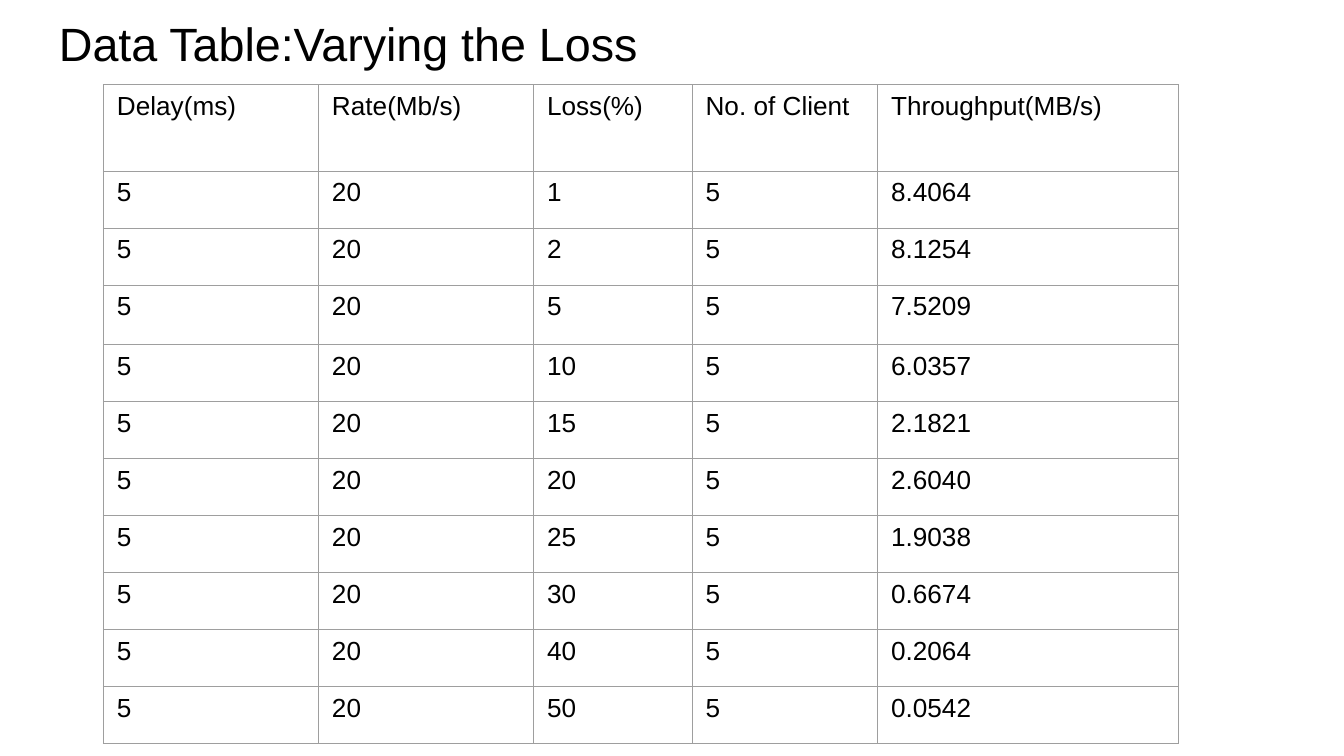
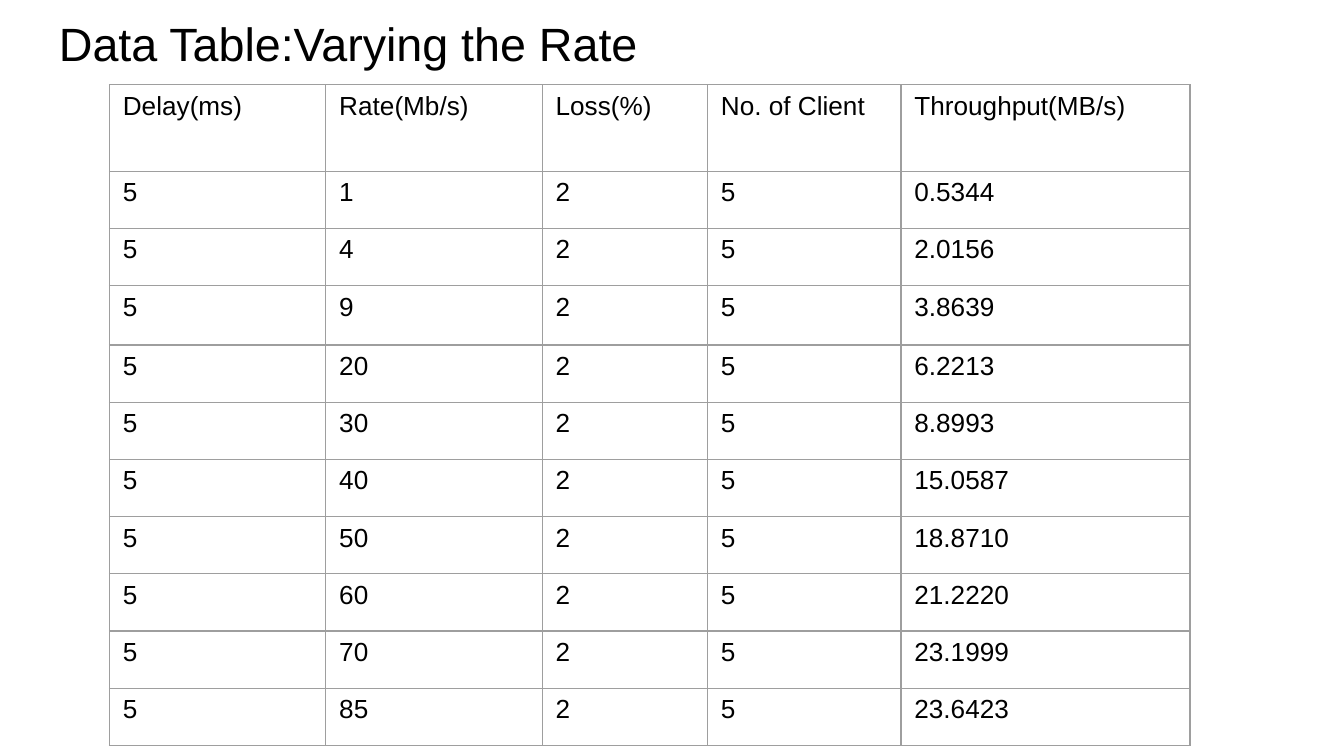
from dataclasses import dataclass

from lxml import etree
from pptx import Presentation
from pptx.dml.color import RGBColor
from pptx.enum.text import MSO_ANCHOR, PP_ALIGN
from pptx.oxml.ns import qn
from pptx.util import Inches, Pt

BOTTOM = MSO_ANCHOR.BOTTOM
TOP = MSO_ANCHOR.TOP
LEFT = PP_ALIGN.LEFT


@dataclass(frozen=True)
class Theme:
    font: str = "Arial"
    background: str = "FFFFFF"
    text: str = "000000"
    border: str = "9E9E9E"
    title_size: float = 25
    cell_size: float = 14
    border_width: float = 0.75
    padding: float = 0.1
    cell_padding: float = 0.05


class Deck:
    def __init__(self, theme):
        self.theme = theme
        self.presentation = Presentation()
        self.presentation.slide_width = Inches(10)
        self.presentation.slide_height = Inches(5.625)
        self.slide = None

    def across(self, percent):
        return round(self.presentation.slide_width * percent / 100)

    def down(self, percent):
        return round(self.presentation.slide_height * percent / 100)

    def add_slide(self):
        self.slide = self.presentation.slides.add_slide(self.presentation.slide_layouts[6])
        fill = self.slide.background.fill
        fill.solid()
        fill.fore_color.rgb = RGBColor.from_string(self.theme.background)

    def set_text(self, text_frame, text, size):
        text_frame.text = text
        for paragraph in text_frame.paragraphs:
            paragraph.alignment = LEFT
            for run in paragraph.runs:
                run.font.name = self.theme.font
                run.font.size = Pt(size)
                run.font.color.rgb = RGBColor.from_string(self.theme.text)

    def add_title(self, text):
        box = self.slide.shapes.add_textbox(
            self.across(3.4), 0, self.across(93.2), self.down(11.2))
        text_frame = box.text_frame
        text_frame.word_wrap = True
        text_frame.vertical_anchor = BOTTOM
        padding = Inches(self.theme.padding)
        text_frame.margin_left = text_frame.margin_right = padding
        text_frame.margin_top = text_frame.margin_bottom = padding
        self.set_text(text_frame, text, self.theme.title_size)

    def add_borders(self, cell):
        properties = cell._tc.get_or_add_tcPr()
        for position, side in enumerate(("lnL", "lnR", "lnT", "lnB")):
            line = etree.Element(qn(f"a:{side}"), w=str(Pt(self.theme.border_width)))
            fill = etree.SubElement(line, qn("a:solidFill"))
            etree.SubElement(fill, qn("a:srgbClr"), val=self.theme.border)
            properties.insert(position, line)

    def add_table(self, left, column_widths, row_heights, records):
        frame = self.slide.shapes.add_table(
            len(records), len(column_widths), self.across(left), self.down(11.2),
            self.across(sum(column_widths)), self.down(sum(row_heights)))
        table = frame.table
        table.first_row = False
        table.horz_banding = False
        for column, width in zip(table.columns, column_widths):
            column.width = self.across(width)
        for row, height, record in zip(table.rows, row_heights, records):
            row.height = self.down(height)
            for cell, value in zip(row.cells, record):
                self.add_cell(cell, value)

    def add_cell(self, cell, value):
        cell.margin_left = cell.margin_right = Inches(self.theme.padding)
        cell.margin_top = cell.margin_bottom = Inches(self.theme.cell_padding)
        cell.vertical_anchor = TOP
        cell.fill.background()
        self.set_text(cell.text_frame, value, self.theme.cell_size)
        self.add_borders(cell)


HEADERS = ("Delay(ms)", "Rate(Mb/s)", "Loss(%)", "No. of Client", "Throughput(MB/s)")
DELAY = CLIENTS = "5"
FIXED_RATE = "20"
FIXED_LOSS = "2"

THROUGHPUT_BY_LOSS = {
    "1": "8.4064", "2": "8.1254", "5": "7.5209", "10": "6.0357", "15": "2.1821",
    "20": "2.6040", "25": "1.9038", "30": "0.6674", "40": "0.2064", "50": "0.0542",
}
THROUGHPUT_BY_RATE = {
    "1": "0.5344", "4": "2.0156", "9": "3.8639", "20": "6.2213", "30": "8.8993",
    "40": "15.0587", "50": "18.8710", "60": "21.2220", "70": "23.1999", "85": "23.6423",
}


def row_heights(body_height):
    return [11.45, body_height, body_height, 7.87] + [body_height] * 7


def main():
    deck = Deck(Theme())
    loss_records = [(DELAY, FIXED_RATE, loss, CLIENTS, throughput)
                    for loss, throughput in THROUGHPUT_BY_LOSS.items()]
    rate_records = [(DELAY, rate, FIXED_LOSS, CLIENTS, throughput)
                    for rate, throughput in THROUGHPUT_BY_RATE.items()]
    tables = (
        ("Loss", 7.7, (16, 16, 11.8, 13.8, 22.4), 7.54, loss_records),
        ("Rate", 8.14, (16.1, 16.1, 12.3, 14.4, 21.5), 7.57, rate_records),
    )
    for variable, left, column_widths, body_height, records in tables:
        deck.add_slide()
        deck.add_title(f"Data Table:Varying the {variable}")
        deck.add_table(left, column_widths, row_heights(body_height), [HEADERS] + records)
    deck.presentation.save("out.pptx")


if __name__ == "__main__":
    main()
